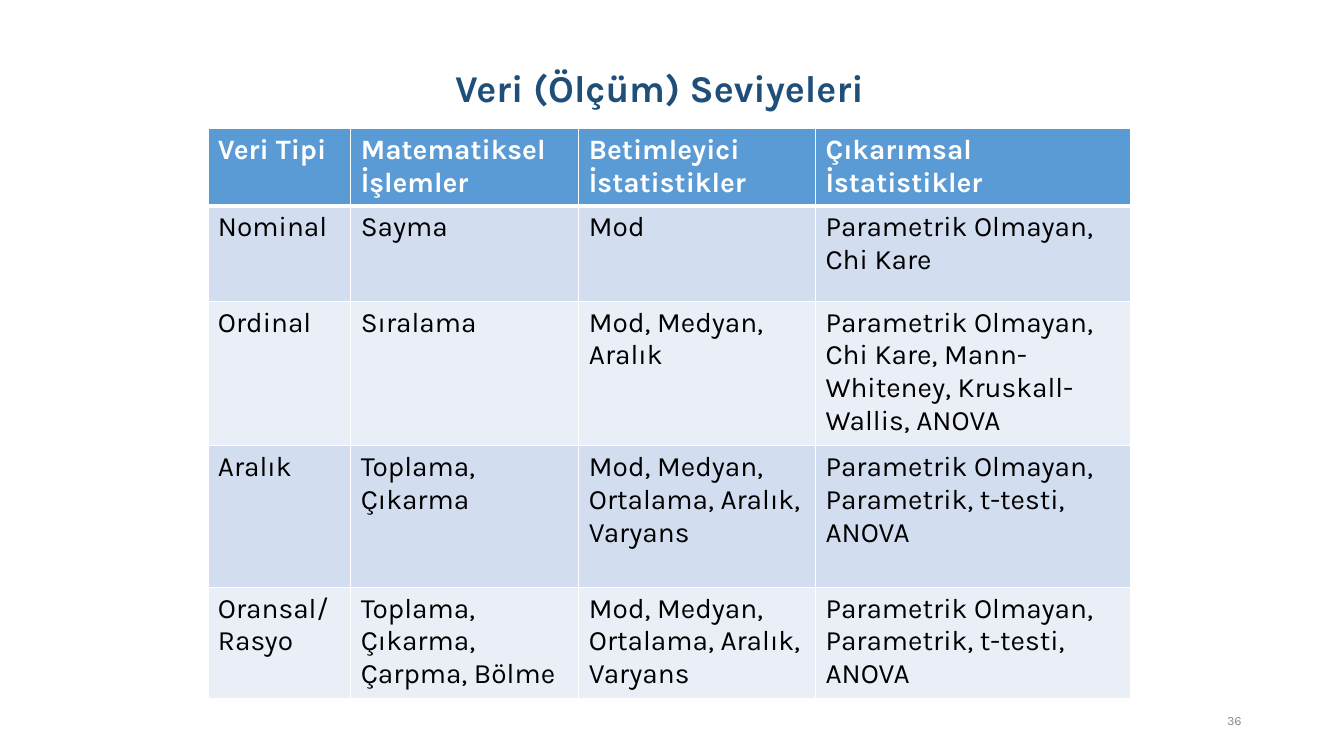
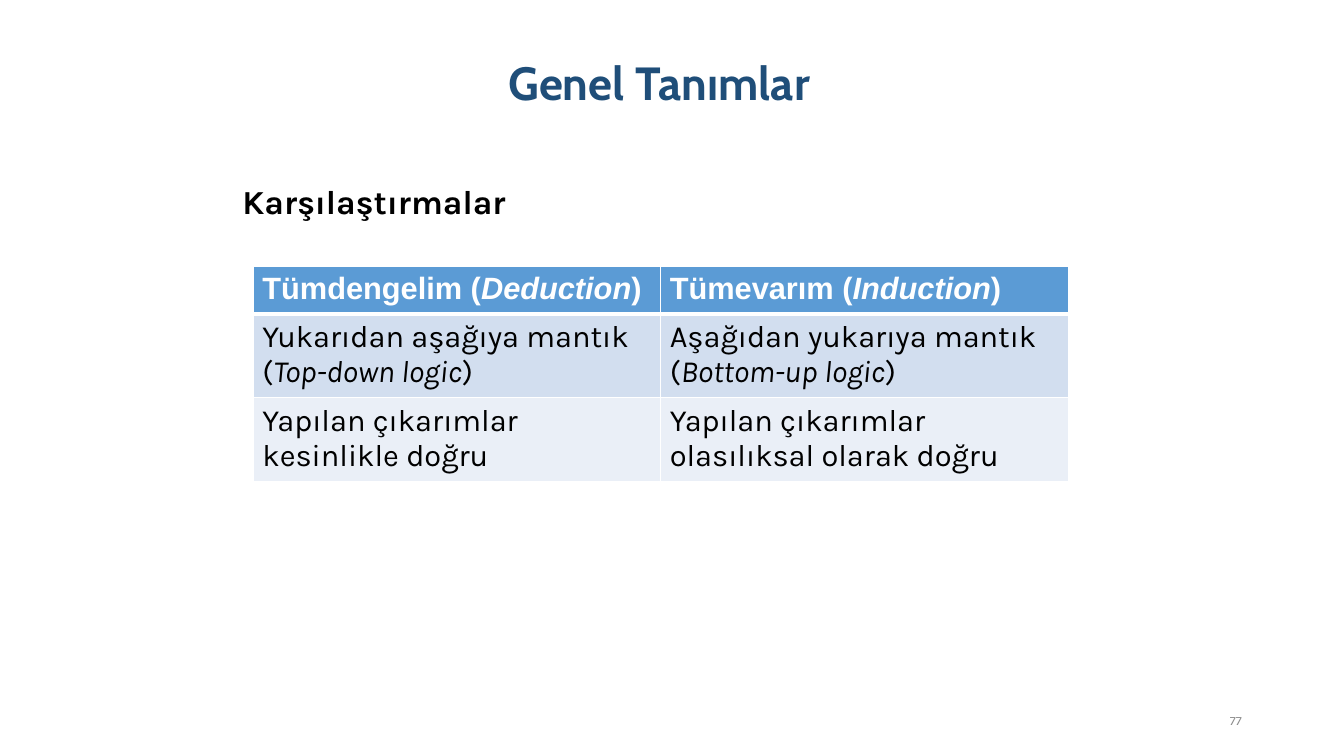
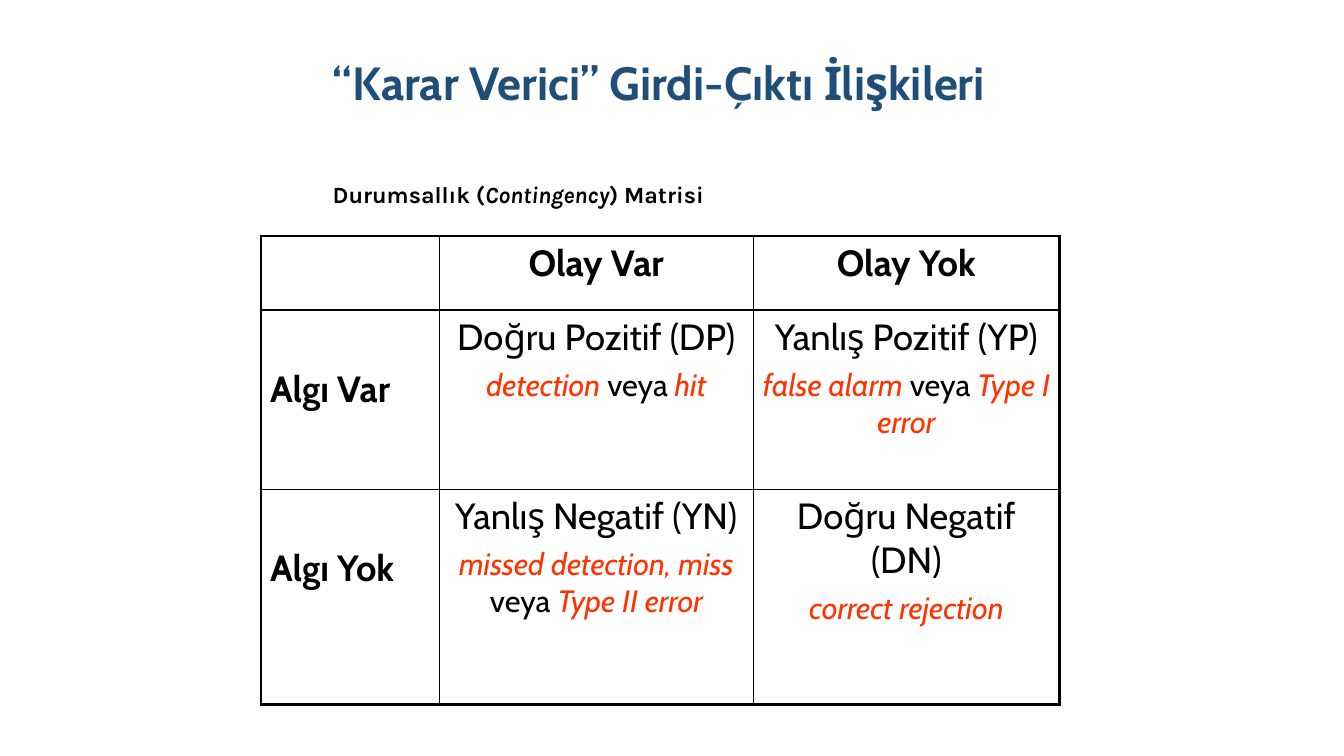
import dataclasses

import lxml.etree
import pptx
import pptx.dml.color
import pptx.enum.text
import pptx.oxml.ns
import pptx.util

Pt = pptx.util.Pt
RGB = pptx.dml.color.RGBColor.from_string
ALIGN = pptx.enum.text.PP_ALIGN
ANCHOR = pptx.enum.text.MSO_ANCHOR
qn = pptx.oxml.ns.qn


@dataclasses.dataclass(frozen=True)
class Theme:
    title: str = "1F4E79"
    text: str = "000000"
    white: str = "FFFFFF"
    muted: str = "8C8C8C"
    accent: str = "FF3300"
    header: str = "5B9BD5"
    bands: tuple = ("D2DEEF", "EAEFF7")
    body_font: str = "Karla"
    head_font: str = "Cabin"
    plain_font: str = "Arial"
    title_size: float = 33.2
    title_small: float = 27
    lead_size: float = 24
    caption_size: float = 16.6
    levels_size: float = 20
    compare_size: float = 22
    matrix_size: float = 26
    matrix_note: float = 22
    number_size: float = 9


T = Theme()


def write(p, text, font, size, color, bold=False, accent=None):
    for i, part in enumerate(text.split("*")):
        if part:
            r = p.add_run()
            r.text = part
            r.font.name = font
            r.font.size = Pt(size)
            r.font.bold = bold
            r.font.italic = i % 2 == 1
            r.font.color.rgb = RGB(accent if accent and i % 2 else color)


def add_grid(s, left, top, cols, rows, cells, inset, line, across, down):
    frame = s.shapes.add_table(len(rows), len(cols), Pt(left), Pt(top), Pt(sum(cols)), Pt(sum(rows)))
    table = frame.table
    table.first_row = table.horz_banding = False
    for column, width in zip(table.columns, cols):
        column.width = Pt(width)
    for row, height in zip(table.rows, rows):
        row.height = Pt(height)
    for i, texts in enumerate(cells):
        for j, text in enumerate(texts):
            cell = table.cell(i, j)
            cell.text_frame.word_wrap = True
            cell.margin_left = cell.margin_right = Pt(inset)
            cell.margin_top = cell.margin_bottom = Pt(3.6)
            weights = {"L": down[j], "R": down[j + 1], "T": across[i], "B": across[i + 1]}
            for side, weight in weights.items():
                ln = lxml.etree.SubElement(cell._tc.get_or_add_tcPr(), qn("a:ln" + side), w=str(Pt(weight)))
                fill = lxml.etree.SubElement(ln, qn("a:solidFill"))
                lxml.etree.SubElement(fill, qn("a:srgbClr"), val=line)
            if line == T.white:
                cell.fill.solid()
                cell.fill.fore_color.rgb = RGB(T.bands[(i - 1) % 2] if i else T.header)
            else:
                cell.fill.background()
    return table


prs = pptx.Presentation()
prs.slide_width, prs.slide_height = Pt(960), Pt(540)

pages = [
    ("Veri (Ölçüm) Seviyeleri", T.body_font, T.title_small, None, "36"),
    ("Genel Tanımlar", T.head_font, T.title_size, ("Karşılaştırmalar", T.lead_size, 166), "77"),
    ("“Karar Verici” Girdi-Çıktı İlişkileri", T.head_font, T.title_size,
     ("Durumsallık (*Contingency*) Matrisi", T.caption_size, 230.4), None),
]
for title, font, size, lead, number in pages:
    s = prs.slides.add_slide(prs.slide_layouts[1 if lead else 5])
    sp = s.shapes.title
    sp.left, sp.top, sp.width, sp.height = Pt(47.5), Pt(0), Pt(847), Pt(82)
    tf = sp.text_frame
    tf.vertical_anchor = ANCHOR.BOTTOM
    tf.auto_size = pptx.enum.text.MSO_AUTO_SIZE.NONE
    tf.paragraphs[0].alignment = ALIGN.CENTER
    write(tf.paragraphs[0], title, font, size, T.title, True)
    if lead:
        text, size, left = lead
        sp = s.placeholders[1]
        sp.left, sp.top, sp.width, sp.height = Pt(left), Pt(125.5), Pt(500), Pt(40)
        tf = sp.text_frame
        tf.auto_size = pptx.enum.text.MSO_AUTO_SIZE.NONE
        p = tf.paragraphs[0]
        pPr = p._p.get_or_add_pPr()
        pPr.set("marL", "0")
        pPr.set("indent", "0")
        lxml.etree.SubElement(pPr, qn("a:buNone"))
        write(p, text, T.body_font, size, T.text, True)
    if number:
        sp = s.shapes.add_textbox(Pt(636), Pt(500.5), Pt(258), Pt(28.75))
        tf = sp.text_frame
        tf.word_wrap = True
        tf.vertical_anchor = ANCHOR.MIDDLE
        tf.paragraphs[0].alignment = ALIGN.RIGHT
        write(tf.paragraphs[0], number, T.body_font, T.number_size, T.muted)

levels_slide, compare_slide, matrix_slide = prs.slides

levels = [
    ["Veri Tipi", "Matematiksel İşlemler", "Betimleyici İstatistikler", "Çıkarımsal İstatistikler"],
    ["Nominal", "Sayma", "Mod", "Parametrik Olmayan, Chi Kare"],
    ["Ordinal", "Sıralama", "Mod, Medyan, Aralık",
     "Parametrik Olmayan, Chi Kare, Mann-Whiteney, Kruskall-Wallis, ANOVA"],
    ["Aralık", "Toplama, Çıkarma", "Mod, Medyan, Ortalama, Aralık, Varyans",
     "Parametrik Olmayan, Parametrik, t-testi, ANOVA"],
    ["Oransal/ Rasyo", "Toplama, Çıkarma, Çarpma, Bölme", "Mod, Medyan, Ortalama, Aralık, Varyans",
     "Parametrik Olmayan, Parametrik, t-testi, ANOVA"],
]
compare = [
    ["Tümdengelim (*Deduction*)", "Tümevarım (*Induction*)"],
    ["Yukarıdan aşağıya mantık (*Top-down logic*)", "Aşağıdan yukarıya mantık (*Bottom-up logic*)"],
    ["Yapılan çıkarımlar kesinlikle doğru", "Yapılan çıkarımlar olasılıksal olarak doğru"],
]
levels_table = add_grid(levels_slide, 148.5, 92, [102, 163, 169, 225], [54, 68, 101, 101, 77],
                        levels, 7.2, T.white, [1, 3, 1, 1, 1, 1], [1] * 5)
compare_table = add_grid(compare_slide, 181, 190.5, [291, 291], [33, 60, 60],
                         compare, 6.5, T.white, [1, 3, 1, 1], [1] * 3)
for table, cells, head_font, size in [
    (levels_table, levels, T.body_font, T.levels_size),
    (compare_table, compare, T.plain_font, T.compare_size),
]:
    for i, texts in enumerate(cells):
        for j, text in enumerate(texts):
            p = table.cell(i, j).text_frame.paragraphs[0]
            if i == 0:
                write(p, text, head_font, size, T.white, True)
            else:
                write(p, text, T.body_font, size, T.text)

matrix = [
    ["", "Olay Var", "Olay Yok"],
    ["Algı Var", "Doğru Pozitif (DP)\n*detection *veya *hit*",
     "Yanlış Pozitif (YP)\n*false alarm *veya *Type I error*"],
    ["Algı Yok", "Yanlış Negatif (YN)\n*missed detection, miss *veya* Type II error*",
     "Doğru Negatif (DN)\n*correct rejection*"],
]
edges = [2.25, 1, 1, 2.25]
matrix_table = add_grid(matrix_slide, 186.5, 168.5, [127.5, 224, 219], [53, 128, 154],
                        matrix, 6.5, T.text, edges, edges)
for i, texts in enumerate(matrix):
    for j, text in enumerate(texts):
        cell = matrix_table.cell(i, j)
        if j == 0 and i:
            cell.margin_top = Pt(41)
        label, _, note = text.partition("\n")
        tf = cell.text_frame
        p = tf.paragraphs[0]
        write(p, label, T.head_font, T.matrix_size, T.text, i == 0 or j == 0)
        if j:
            p.alignment = ALIGN.CENTER
        if note:
            p = tf.add_paragraph()
            p.alignment = ALIGN.CENTER
            p.space_before = Pt(5)
            write(p, note, T.head_font, T.matrix_note, T.text, accent=T.accent)

prs.save("out.pptx")
